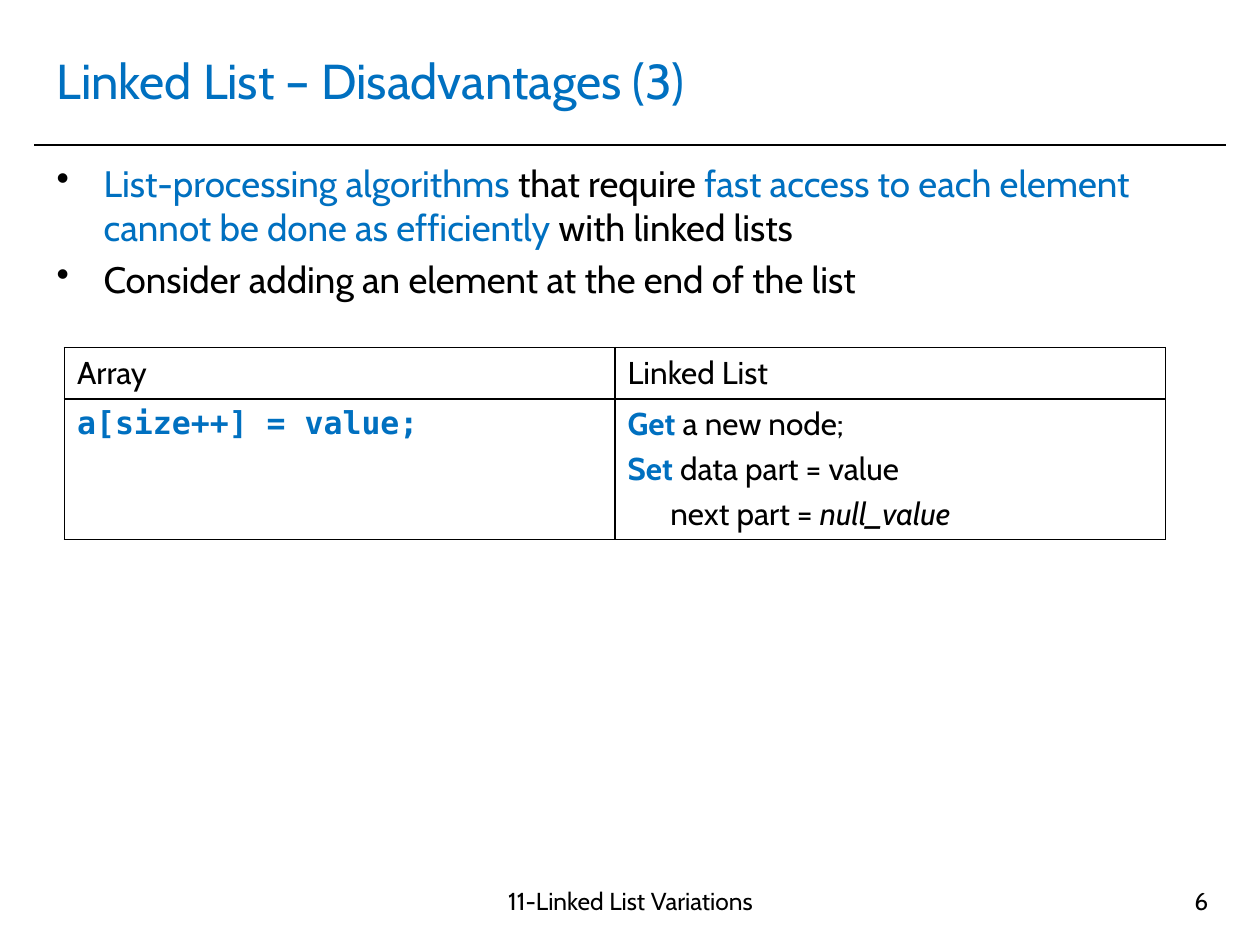
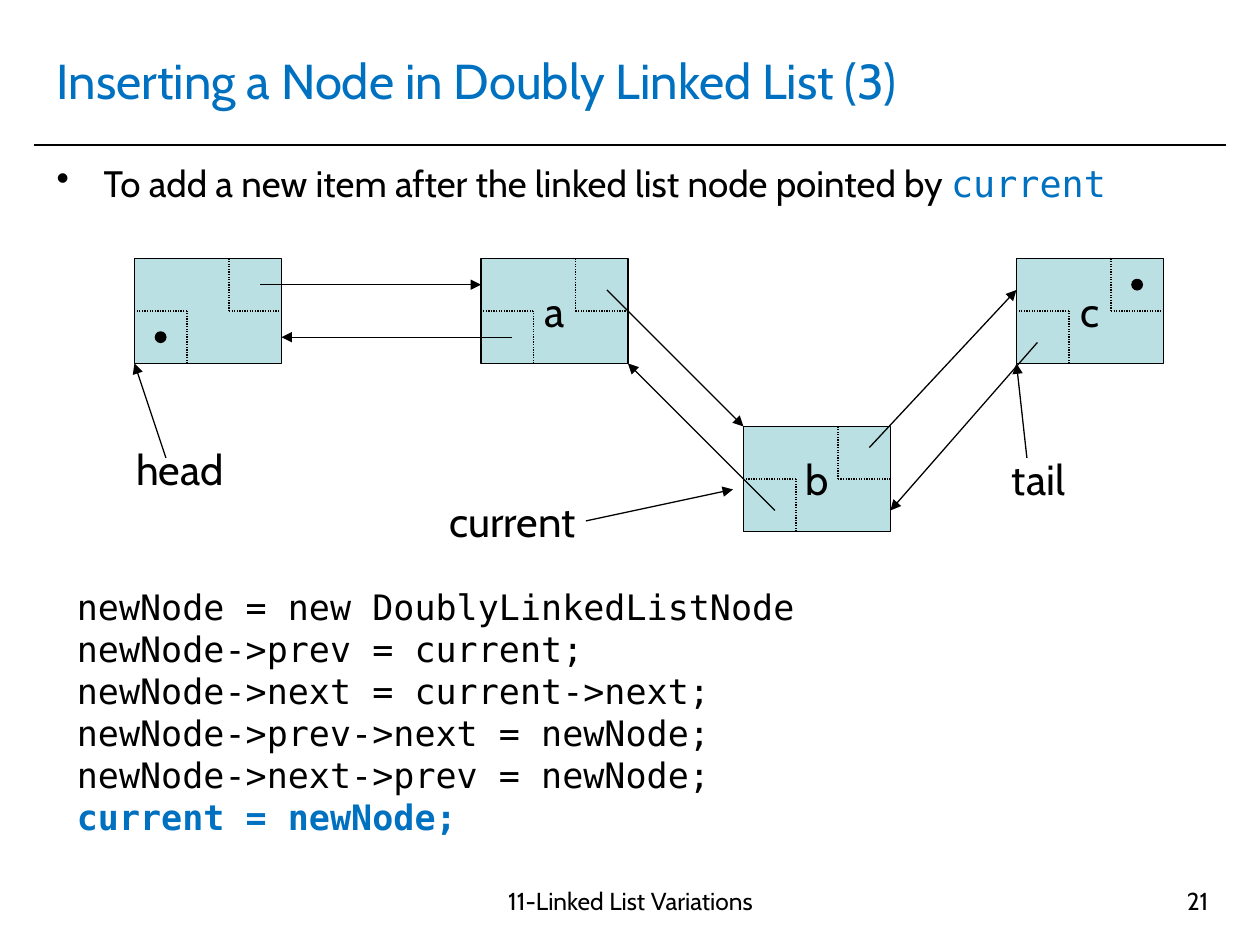
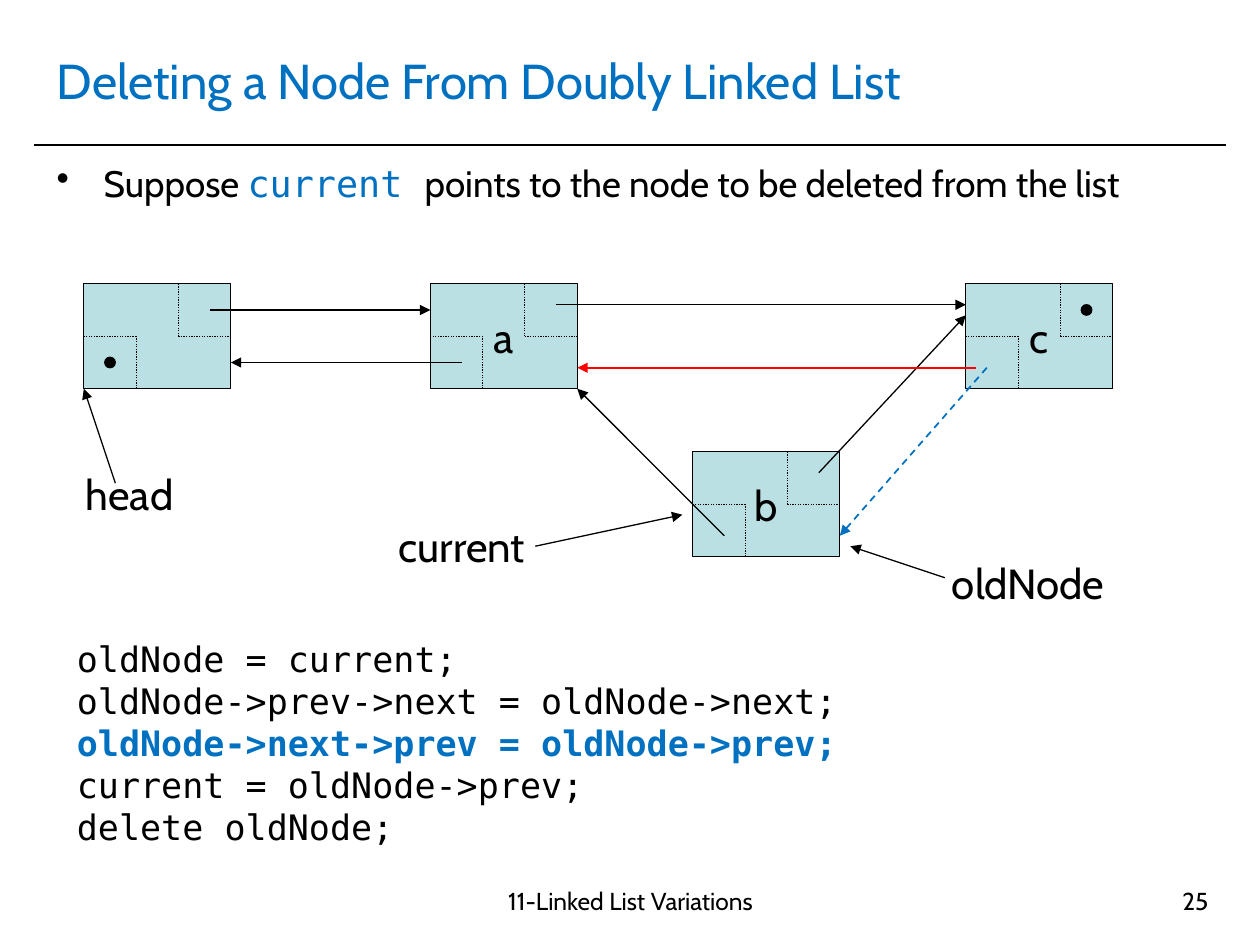
from lxml import etree
from pptx import Presentation
from pptx.dml.color import RGBColor
from pptx.enum.dml import MSO_LINE
from pptx.enum.shapes import MSO_CONNECTOR, MSO_SHAPE
from pptx.enum.text import MSO_ANCHOR, PP_ALIGN
from pptx.oxml.ns import qn
from pptx.util import Cm, Pt

BLACK = RGBColor(0x00, 0x00, 0x00)
WHITE = RGBColor(0xFF, 0xFF, 0xFF)
BLUE = RGBColor(0x00, 0x70, 0xC0)
RED = RGBColor(0xFF, 0x00, 0x00)
NODE_FILL = RGBColor(0xBB, 0xE0, 0xE3)

SANS = "Cabin"
MONO = "DejaVu Sans Mono"
STRAIGHT = MSO_CONNECTOR.STRAIGHT
RECTANGLE, OVAL = MSO_SHAPE.RECTANGLE, MSO_SHAPE.OVAL
DOTTED, DASHED = MSO_LINE.ROUND_DOT, MSO_LINE.DASH
LEFT, CENTER, RIGHT = PP_ALIGN.LEFT, PP_ALIGN.CENTER, PP_ALIGN.RIGHT
TOP, MIDDLE = MSO_ANCHOR.TOP, MSO_ANCHOR.MIDDLE

FOOTER = "11-Linked List Variations"
TITLE_BOX = (Cm(0.89), Cm(0.53), Cm(23.6), Cm(2.16))
BODY_BOX = (Cm(0.89), Cm(3.12), Cm(23.6), Cm(1.65))
FOOTER_BOX = (Cm(8.51), Cm(17.73), Cm(8.41), Cm(1.32))
NUMBER_BOX = (Cm(18.69), Cm(17.73), Cm(5.92), Cm(1.32))

GRID = Cm(2.54) / 12
NODE_WIDTH, NODE_HEIGHT = 14, 10
FIELD = 5
NODES = (("", 0, 0), ("a", 33, 0), ("c", 84, 0), ("b", 58, 16))
NULL_DOTS = ((95, 2), (2, 7))
LABELS = (("head", -1, 17), ("current", 28.8, 22))
ARROWS = (
    ((12, 2.5), (33, 2.5)),
    ((36, 7.5), (14, 7.5)),
    ((3, 19), (0, 10)),
    ((43, 25), (57, 22)),
    ((61, 24), (47, 10)),
    ((70, 18), (84, 3)),
)
C_TO_B = ((86, 8), (72, 24))


def add_runs(paragraph, runs, size):
    """Add (text, colour, font, bold, italic) runs, where all but the text may be left out."""
    defaults = ("", BLACK, SANS, False, False)
    for given in runs:
        text, color, font, bold, italic = given + defaults[len(given):]
        run = paragraph.add_run()
        run.text = text
        run.font.size = Pt(size)
        run.font.name = font
        run.font.bold = bold
        run.font.italic = italic
        run.font.color.rgb = color


def add_paragraphs(frame, lines, size, align=LEFT, gap=0):
    """Fill a text frame with one paragraph per list of runs and return them."""
    for index, runs in enumerate(lines):
        paragraph = frame.add_paragraph() if index else frame.paragraphs[0]
        paragraph.alignment = align
        if index and gap:
            paragraph.space_before = Pt(gap)
        add_runs(paragraph, runs, size)
    return frame.paragraphs


def add_text(slide, box, lines, size, align=LEFT, gap=0, wrap=True):
    """Add a text box and return its paragraphs."""
    frame = slide.shapes.add_textbox(*box).text_frame
    frame.word_wrap = wrap
    return add_paragraphs(frame, lines, size, align, gap)


def add_line(slide, start, end, color=BLACK, width=0.75, dash=None, arrow=False):
    """Draw a straight line, with an arrowhead at its end on request."""
    connector = slide.shapes.add_connector(
        STRAIGHT, *(round(length) for length in (*start, *end)))
    connector.line.color.rgb = color
    connector.line.width = Pt(width)
    if dash:
        connector.line.dash_style = dash
    properties = connector._element.spPr
    if arrow:
        outline = properties.find(qn("a:ln"))
        etree.SubElement(outline, qn("a:tailEnd"), type="triangle")
    etree.SubElement(properties, qn("a:effectLst"))


def add_shape(slide, kind, box, fill):
    """Add a filled shape with a thin black outline."""
    shape = slide.shapes.add_shape(kind, *box)
    shape.shadow.inherit = False
    shape.fill.solid()
    shape.fill.fore_color.rgb = fill
    shape.line.color.rgb = BLACK
    shape.line.width = Pt(0.75)
    return shape


def add_bullets(slide, box, lines):
    """Add the bulleted body text."""
    for paragraph in add_text(slide, box, lines, 21, gap=4.2):
        properties = paragraph._p.get_or_add_pPr()
        properties.set("marL", str(Cm(0.95)))
        properties.set("indent", str(Cm(-0.95)))
        color = etree.SubElement(properties, qn("a:buClr"))
        etree.SubElement(color, qn("a:srgbClr"), val=str(BLACK))
        etree.SubElement(properties, qn("a:buChar"), char="•")


def add_content_slide(presentation, title, number, bullets):
    """Add a slide with its title, rule, bullets and footer."""
    slide = presentation.slides.add_slide(presentation.slide_layouts[5])
    placeholder = slide.shapes.title
    placeholder.left, placeholder.top, placeholder.width, placeholder.height = TITLE_BOX
    placeholder.text_frame.vertical_anchor = MIDDLE
    add_paragraphs(placeholder.text_frame, [[(title, BLUE)]], 28)
    add_line(slide, (Cm(0.69), Cm(2.92)), (Cm(24.71), Cm(2.92)), width=1)
    add_bullets(slide, BODY_BOX, bullets)
    add_text(slide, FOOTER_BOX, [[(FOOTER,)]], 14, CENTER)
    add_text(slide, NUMBER_BOX, [[(str(number),)]], 14, RIGHT)
    return slide


def add_code(slide, left, top, lines, highlight):
    """Add a code listing with one highlighted line."""
    box = (left, top, Cm(16.2), Cm(0.85) * len(lines) + Cm(0.25))
    runs = [[(line, BLUE, MONO, True) if line == highlight else (line, BLACK, MONO)]
            for line in lines]
    for paragraph in add_text(slide, box, runs, 20):
        paragraph.line_spacing = Pt(24)


def format_cell(cell):
    """Give a table cell a white fill and black borders."""
    properties = cell._tc.get_or_add_tcPr()
    for side in ("lnL", "lnR", "lnT", "lnB"):
        border = etree.SubElement(properties, qn(f"a:{side}"), w=str(Pt(1)))
        fill = etree.SubElement(border, qn("a:solidFill"))
        etree.SubElement(fill, qn("a:srgbClr"), val=str(BLACK))
    cell.fill.solid()
    cell.fill.fore_color.rgb = WHITE
    cell.vertical_anchor = TOP


def add_comparison(slide, box, rows):
    """Add the table that compares arrays with linked lists."""
    table = slide.shapes.add_table(len(rows), len(rows[0]), *box).table
    table.first_row = table.horz_banding = False
    table.rows[0].height = Cm(1.03)
    table.rows[1].height = box[3] - Cm(1.03)
    for row, contents in enumerate(rows):
        for column, lines in enumerate(contents):
            cell = table.cell(row, column)
            format_cell(cell)
            add_paragraphs(cell.text_frame, lines, 18, gap=3.6)
    last_line = table.cell(1, 1).text_frame.paragraphs[-1]
    last_line._p.get_or_add_pPr().set("marL", str(Cm(0.86)))


def add_list_diagram(slide, left, top, labels, arrows):
    """Draw the doubly linked list on a grid that starts at the given corner."""
    def point(column, row):
        return round(left + column * GRID), round(top + row * GRID)

    def box(column, row, width, height):
        return (*point(column, row), round(width * GRID), round(height * GRID))

    for name, column, row in NODES:
        node = add_shape(slide, RECTANGLE, box(column, row, NODE_WIDTH, NODE_HEIGHT), NODE_FILL)
        if name:
            frame = node.text_frame
            frame.word_wrap = False
            frame.vertical_anchor = MIDDLE
            add_paragraphs(frame, [[(name,)]], 24, CENTER)
        right, bottom, middle = column + NODE_WIDTH, row + NODE_HEIGHT, row + FIELD
        for inner, outer, edge in ((right - FIELD, right, row), (column + FIELD, column, bottom)):
            add_line(slide, point(inner, edge), point(inner, middle), dash=DOTTED)
            add_line(slide, point(inner, middle), point(outer, middle), dash=DOTTED)
    for column, row in NULL_DOTS:
        add_shape(slide, OVAL, box(column, row, 1, 1), BLACK)
    for text, column, row in LABELS + labels:
        add_text(slide, box(column, row, 2 * len(text) + 3, 6), [[(text,)]], 24, wrap=False)
    for start, end, *style in ARROWS + arrows:
        add_line(slide, point(*start), point(*end), *style, arrow=True)


def build_disadvantages(presentation):
    """Build the slide on the disadvantages of linked lists."""
    slide = add_content_slide(presentation, "Linked List – Disadvantages (3)", 6, [
        [("List-processing algorithms ", BLUE), ("that require ",),
         ("fast access to each element cannot be done as efficiently ", BLUE),
         ("with linked lists",)],
        [("Consider adding an element at the end of the list",)],
    ])
    steps = [
        [("Get", BLUE, SANS, True), (" a new node;",)],
        [("Set ", BLUE, SANS, True), ("data part = value",)],
        [("next part = ",), ("null_value", BLACK, SANS, False, True)],
    ]
    add_comparison(slide, (Cm(1.3), Cm(7.01), Cm(22.2), Cm(3.87)), [
        [[[("Array",)]], [[("Linked List",)]]],
        [[[("a[size++] = value;", BLUE, MONO, True)]], steps],
    ])


def build_insertion(presentation):
    """Build the slide on inserting a node."""
    slide = add_content_slide(presentation, "Inserting a Node in Doubly Linked List (3)", 21, [
        [("To add a new item after the linked list node pointed by ",),
         ("current", BLUE, MONO)],
    ])
    add_code(slide, Cm(1.3), Cm(11.68), [
        "newNode = new DoublyLinkedListNode",
        "newNode->prev = current;",
        "newNode->next = current->next;",
        "newNode->prev->next = newNode;",
        "newNode->next->prev = newNode;",
        "current = newNode;",
    ], "current = newNode;")
    add_list_diagram(slide, Cm(2.71), Cm(5.21), (("tail", 82.4, 18),), (
        ((85, 19), (84, 10)),
        ((45, 3), (58, 16)),
        C_TO_B,
    ))


def build_deletion(presentation):
    """Build the slide on deleting a node."""
    slide = add_content_slide(presentation, "Deleting a Node From Doubly Linked List", 25, [
        [("Suppose ",), ("current ", BLUE, MONO),
         ("points to the node to be deleted from the list",)],
    ])
    add_code(slide, Cm(1.3), Cm(12.73), [
        "oldNode = current;",
        "oldNode->prev->next = oldNode->next;",
        "oldNode->next->prev = oldNode->prev;",
        "current = oldNode->prev;",
        "delete oldNode;",
    ], "oldNode->next->prev = oldNode->prev;")
    add_list_diagram(slide, Cm(1.69), Cm(5.72), (("oldNode", 81.5, 25.5),), (
        (*C_TO_B, BLUE, 1, DASHED),
        ((45, 2), (84, 2)),
        ((85, 8), (47, 8), RED, 1),
        ((82, 28), (73, 25)),
    ))


def main():
    """Build the presentation and save it."""
    presentation = Presentation()
    presentation.slide_width = Cm(25.4)
    presentation.slide_height = Cm(19.05)
    build_disadvantages(presentation)
    build_insertion(presentation)
    build_deletion(presentation)
    presentation.save("out.pptx")


if __name__ == "__main__":
    main()
